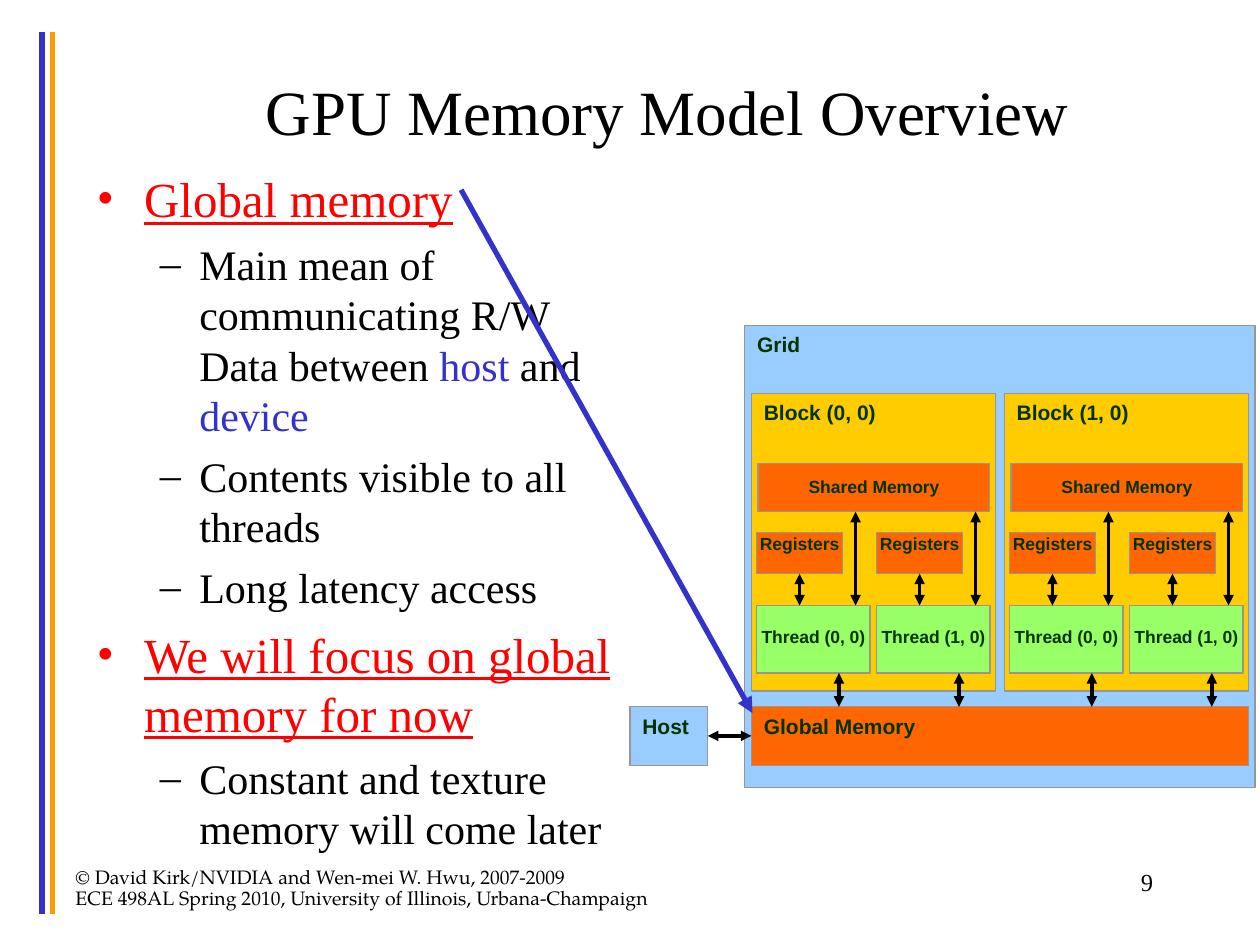
from dataclasses import dataclass
from lxml.etree import SubElement
from pptx import Presentation
from pptx.dml.color import RGBColor
from pptx.enum.shapes import MSO_CONNECTOR, MSO_SHAPE
from pptx.enum.text import MSO_ANCHOR, PP_ALIGN
from pptx.oxml.ns import qn
from pptx.util import Pt


@dataclass(frozen=True)
class Theme:
    serif: str = "Times New Roman"
    sans: str = "Arial"
    foot: str = "TeX Gyre Pagella"
    black: str = "000000"
    red: str = "FF0000"
    navy: str = "3333CC"
    gold: str = "FF9900"
    sky: str = "99CCFF"
    amber: str = "FFCC00"
    rust: str = "FF6600"
    lime: str = "99FF66"
    label: str = "003300"
    edge: str = "969696"
    title_size: float = 36
    topic_size: float = 28
    point_size: float = 24
    page_size: float = 14
    head_size: float = 12
    part_size: float = 10
    foot_size: float = 11.1


T = Theme()

TITLE = "GPU Memory Model Overview"
PAGE = "9"
FOOTER = [
    "© David Kirk/NVIDIA and Wen-mei W. Hwu, 2007-2009",
    "ECE 498AL Spring 2010, University of Illinois, Urbana-Champaign",
]
# Each entry: level, then runs of (text, colour)
BODY = [
    (0, [("Global memory", T.red)]),
    (1, [("Main mean of communicating R/W Data between ", T.black),
         ("host ", T.navy), ("and ", T.black), ("device", T.navy)]),
    (1, [("Contents visible to all threads", T.black)]),
    (1, [("Long latency access", T.black)]),
    (0, [("We will focus on global memory for now", T.red)]),
    (1, [("Constant and texture memory will come later", T.black)]),
]
# Each level: bullet, bullet colour, left margin, hang, space before, size
LEVELS = [
    ("•", T.red, 27, 27, 7, T.topic_size),
    ("–", T.black, 58.5, 22.5, 6, T.point_size),
]
BLOCKS = ["Block (0, 0)", "Block (1, 0)"]
THREADS = ["Thread (0, 0)", "Thread (1, 0)"]
BLOCK_X, BLOCK_STEP = 429.4, 144.5
THREAD_X, THREAD_STEP = 3, 68.6
SHARED_END, REG_END = 292.4, 327.8
THREAD_TOP, THREAD_END, GLOBAL_TOP = 346, 384.6, 403.9
GLOBAL_H = 33.7
BASE_PAD = (7.2, 3.6, 7.2, 3.6)

deck = Presentation()
deck.slide_width, deck.slide_height = Pt(720), Pt(540)
slide = deck.slides.add_slide(deck.slide_layouts[6])


def rgb(code):
    return RGBColor.from_string(code)


def write(para, text, font, size, color, bold=False, under=False):
    run = para.add_run()
    run.text = text
    run.font.name, run.font.size = font, Pt(size)
    run.font.color.rgb = rgb(color)
    run.font.bold, run.font.underline = bold, under


def set_frame(shape, pad=BASE_PAD, anchor=MSO_ANCHOR.TOP):
    frame = shape.text_frame
    frame.word_wrap = True
    frame.vertical_anchor = anchor
    (frame.margin_left, frame.margin_top,
     frame.margin_right, frame.margin_bottom) = map(Pt, pad)
    return frame


def add_text(x, y, w, h, **style):
    return set_frame(slide.shapes.add_textbox(Pt(x), Pt(y), Pt(w), Pt(h)), **style)


def add_box(text, x, y, w, h, fill, drop=None):
    """Draw a labelled box; drop, if given, centres a small label that far down."""
    box = slide.shapes.add_shape(MSO_SHAPE.RECTANGLE, Pt(x), Pt(y), Pt(w), Pt(h))
    box.shadow.inherit = False
    box.fill.solid()
    box.fill.fore_color.rgb = rgb(fill)
    box.line.color.rgb, box.line.width = rgb(T.edge), Pt(0.75)
    small = drop is not None
    para = set_frame(box, (0, drop, 0, 0) if small else BASE_PAD).paragraphs[0]
    para.alignment = PP_ALIGN.CENTER if small else PP_ALIGN.LEFT
    write(para, text, T.sans, T.part_size if small else T.head_size, T.label, bold=True)


def add_line(x1, y1, x2, y2, color=T.black, width=2, ends=("headEnd", "tailEnd")):
    line = slide.shapes.add_connector(
        MSO_CONNECTOR.STRAIGHT, Pt(x1), Pt(y1), Pt(x2), Pt(y2))
    line.line.color.rgb, line.line.width = rgb(color), Pt(width)
    for end in ends:
        SubElement(line.line._get_or_add_ln(), qn("a:" + end), type="triangle")
    SubElement(line._element.spPr, qn("a:effectLst"))


def add_bullet(para, mark, color, left, hang):
    props = para._p.get_or_add_pPr()
    props.set("marL", str(Pt(left)))
    props.set("indent", str(-Pt(hang)))
    tint = SubElement(props, qn("a:buClr"))
    SubElement(tint, qn("a:srgbClr"), val=color)
    SubElement(props, qn("a:buFont"), typeface=T.serif)
    SubElement(props, qn("a:buChar"), char=mark)


def next_para(frame, index):
    return frame.add_paragraph() if index else frame.paragraphs[0]


def draw_text():
    page = add_text(516, 492, 150, 36).paragraphs[0]
    page.alignment = PP_ALIGN.RIGHT
    write(page, PAGE, T.serif, T.page_size, T.black)

    title = add_text(54, 18, 654.5, 90, anchor=MSO_ANCHOR.MIDDLE).paragraphs[0]
    title.alignment = PP_ALIGN.CENTER
    write(title, TITLE, T.serif, T.title_size, T.black)

    body = add_text(48.3, 93, 324, 402)
    for i, (level, runs) in enumerate(BODY):
        mark, tint, left, hang, gap, size = LEVELS[level]
        para = next_para(body, i)
        para.level = level
        add_bullet(para, mark, tint, left, hang)
        para.space_before = Pt(gap if i else 0)
        for text, color in runs:
            write(para, text, T.serif, size, color, under=level == 0)


def draw_thread(name, x):
    add_box(name, x, THREAD_TOP, 64.8, THREAD_END - THREAD_TOP, T.lime, drop=11.5)
    add_box("Registers", x, 304.3, 49, REG_END - 304.3, T.rust, drop=0)
    add_line(x + 56.5, THREAD_TOP, x + 56.5, SHARED_END)
    add_line(x + 24.5, THREAD_TOP, x + 24.5, REG_END)
    add_line(x + 47, THREAD_END, x + 47, GLOBAL_TOP)


def draw_grid():
    add_box("Grid", 425.5, 186, 291.6, 264, T.sky)
    add_box("Global Memory", BLOCK_X, GLOBAL_TOP, 284, GLOBAL_H, T.rust)
    for i, block in enumerate(BLOCKS):
        x = BLOCK_X + i * BLOCK_STEP
        add_box(block, x, 224.8, 139.5, 170.2, T.amber)
        add_box("Shared Memory", x + 3.8, 264.8, 132.5, SHARED_END - 264.8, T.rust, drop=7.2)
        for j, thread in enumerate(THREADS):
            draw_thread(thread, x + THREAD_X + j * THREAD_STEP)


def draw_host():
    add_box("Host", 360, GLOBAL_TOP, 44.5, GLOBAL_H, T.sky)
    add_line(404.5, 420.5, BLOCK_X, 420.5)
    add_line(263.5, 108.5, 430, 407.5, T.navy, 3, ["tailEnd"])


def draw_footer():
    foot = add_text(36, 492.5, 426, 36)
    for i, text in enumerate(FOOTER):
        para = next_para(foot, i)
        para.line_spacing = 0.9
        write(para, text, T.foot, T.foot_size, T.black)


for x, color in [(24, T.navy), (30, T.gold)]:
    add_line(x, 18, x, 522, color, 3, [])
draw_text()
draw_grid()
draw_host()
draw_footer()
deck.save("out.pptx")
